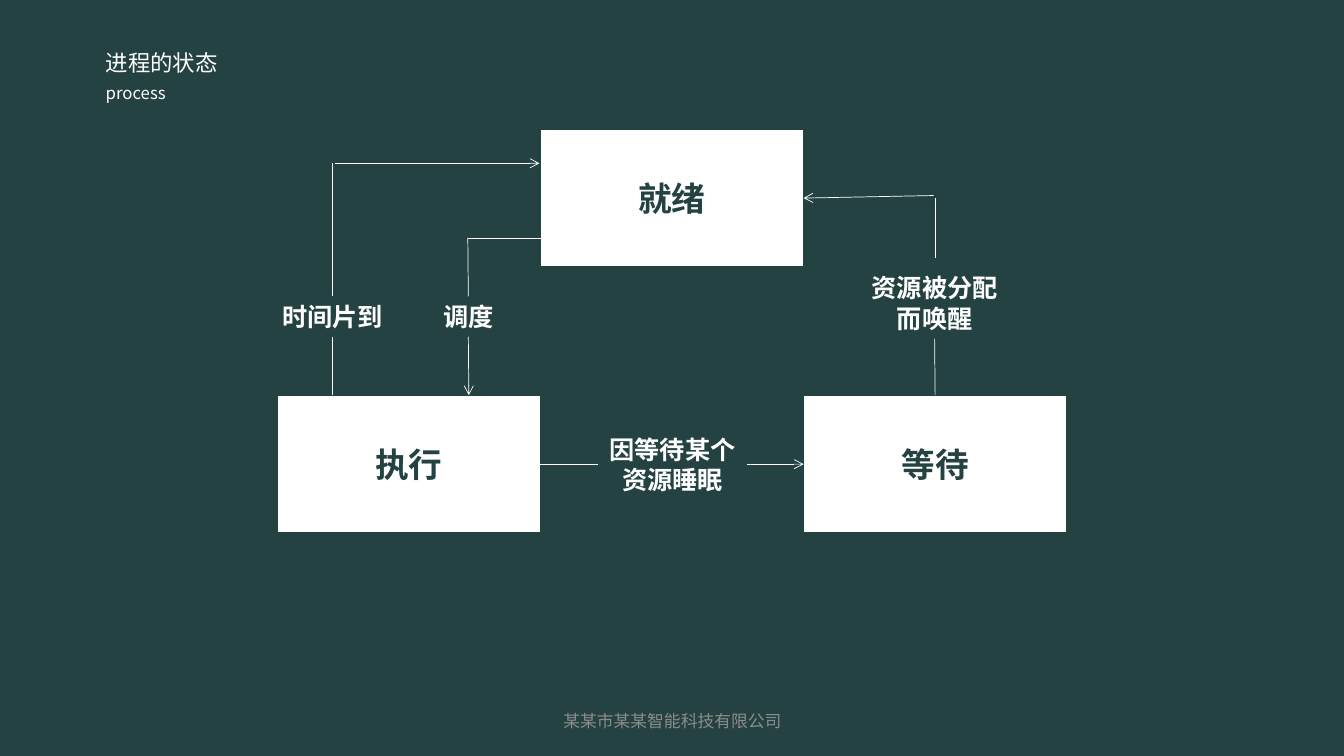
from lxml import etree
from pptx import Presentation
from pptx.dml.color import RGBColor
from pptx.enum import shapes, text
from pptx.oxml import ns
from pptx.util import Inches, Pt

GREEN = RGBColor(0x24, 0x42, 0x42)
WHITE = RGBColor(0xFF, 0xFF, 0xFF)
GRAY = RGBColor(0x8C, 0x8C, 0x8C)
BODY_FONT, HEAD_FONT = "Calibri", "Noto Sans CJK SC"
TOP, LEFT, BOTTOM, RIGHT = range(4)

TITLE = ("进程的状态", (0.95, 0.44, 3.83, 0.37))
SUBTITLE = ("process", (0.95, 0.77, 6.07, 0.3))
FOOTER = ("某某市某某智能科技有限公司", (4.42, 6.95, 4.5, 0.4))

STATE_SIZE = (2.61, 1.37)
STATES = {"就绪": (5.36, 1.28), "执行": (2.75, 3.92), "等待": (7.97, 3.92)}
EVENTS = {
    "调度": (4.06, 2.94, 1.17, 0.4),
    "时间片到": (2.63, 2.94, 1.34, 0.4),
    "因等待某个资源睡眠": (5.93, 4.25, 1.48, 0.71),
    "资源被分配而唤醒": (8.53, 2.65, 1.48, 0.71),
}
# Each end is a point, or a named part with one of its sides.
LINKS = [
    ((5.37, 2.36), (4.64, 2.36), False),
    ((4.64, 2.36), ("调度", TOP), False),
    (("调度", BOTTOM), (4.65, 3.92), True),
    ((3.3, 3.92), ("时间片到", BOTTOM), False),
    (("时间片到", TOP), (3.3, 1.62), False),
    ((3.32, 1.62), (5.35, 1.62), True),
    (("执行", RIGHT), ("因等待某个资源睡眠", LEFT), False),
    (("因等待某个资源睡眠", RIGHT), ("等待", LEFT), True),
    (("等待", TOP), ("资源被分配而唤醒", BOTTOM), False),
    ((9.28, 2.56), (9.28, 1.96), False),
    ((9.26, 1.94), ("就绪", RIGHT), True),
]


def write(part, words, size, color, font=BODY_FONT, bold=False,
          align=text.PP_ALIGN.CENTER, anchor=text.MSO_ANCHOR.MIDDLE):
    frame = part.text_frame
    frame.word_wrap = True
    frame.auto_size = text.MSO_AUTO_SIZE.NONE
    frame.vertical_anchor = anchor
    paragraph = frame.paragraphs[0]
    paragraph.alignment = align
    run = paragraph.add_run()
    run.text = words
    run.font.size = Pt(size)
    run.font.bold = bold
    run.font.name = font
    run.font.color.rgb = color
    east_asian = etree.SubElement(run.font._element, ns.qn("a:ea"))
    east_asian.set("typeface", HEAD_FONT)


def add_text(slide, words, box, size, color, **style):
    part = slide.shapes.add_textbox(*map(Inches, box))
    write(part, words, size, color, **style)
    return part


def add_state(slide, name, corner):
    state = slide.shapes.add_shape(
        shapes.MSO_SHAPE.RECTANGLE, *map(Inches, corner + STATE_SIZE))
    state.shadow.inherit = False
    state.fill.solid()
    state.fill.fore_color.rgb = WHITE
    state.line.color.rgb = GREEN
    state.line.width = Pt(1)
    write(state, name, 24, GREEN, bold=True)
    return state


def add_link(slide, parts, start, end, arrow):
    points = [(0, 0) if stop[0] in parts else stop for stop in (start, end)]
    link = slide.shapes.add_connector(
        shapes.MSO_CONNECTOR.STRAIGHT, *map(Inches, points[0] + points[1]))
    if start[0] in parts:
        link.begin_connect(parts[start[0]], start[1])
    if end[0] in parts:
        link.end_connect(parts[end[0]], end[1])
    link.line.color.rgb = WHITE
    link.line.width = Pt(0.5)
    if arrow:
        outline = link.line._get_or_add_ln()
        etree.SubElement(outline, ns.qn("a:tailEnd")).set("type", "arrow")
    etree.SubElement(link._element.spPr, ns.qn("a:effectLst"))


def main():
    deck = Presentation()
    deck.slide_width, deck.slide_height = Inches(13.33), Inches(7.5)
    slide = deck.slides.add_slide(deck.slide_layouts[5])
    slide.background.fill.solid()
    slide.background.fill.fore_color.rgb = GREEN

    heading = {"font": HEAD_FONT, "align": text.PP_ALIGN.LEFT,
               "anchor": text.MSO_ANCHOR.TOP}
    title = slide.shapes.title
    title.left, title.top, title.width, title.height = map(Inches, TITLE[1])
    write(title, TITLE[0], 16, WHITE, **heading)
    add_text(slide, *SUBTITLE, 12, WHITE, **heading)
    add_text(slide, *FOOTER, 12, GRAY)

    parts = {name: add_state(slide, name, corner)
             for name, corner in STATES.items()}
    for event, box in EVENTS.items():
        parts[event] = add_text(slide, event, box, 18, WHITE, bold=True)
    for link in LINKS:
        add_link(slide, parts, *link)

    deck.save("out.pptx")


if __name__ == "__main__":
    main()
